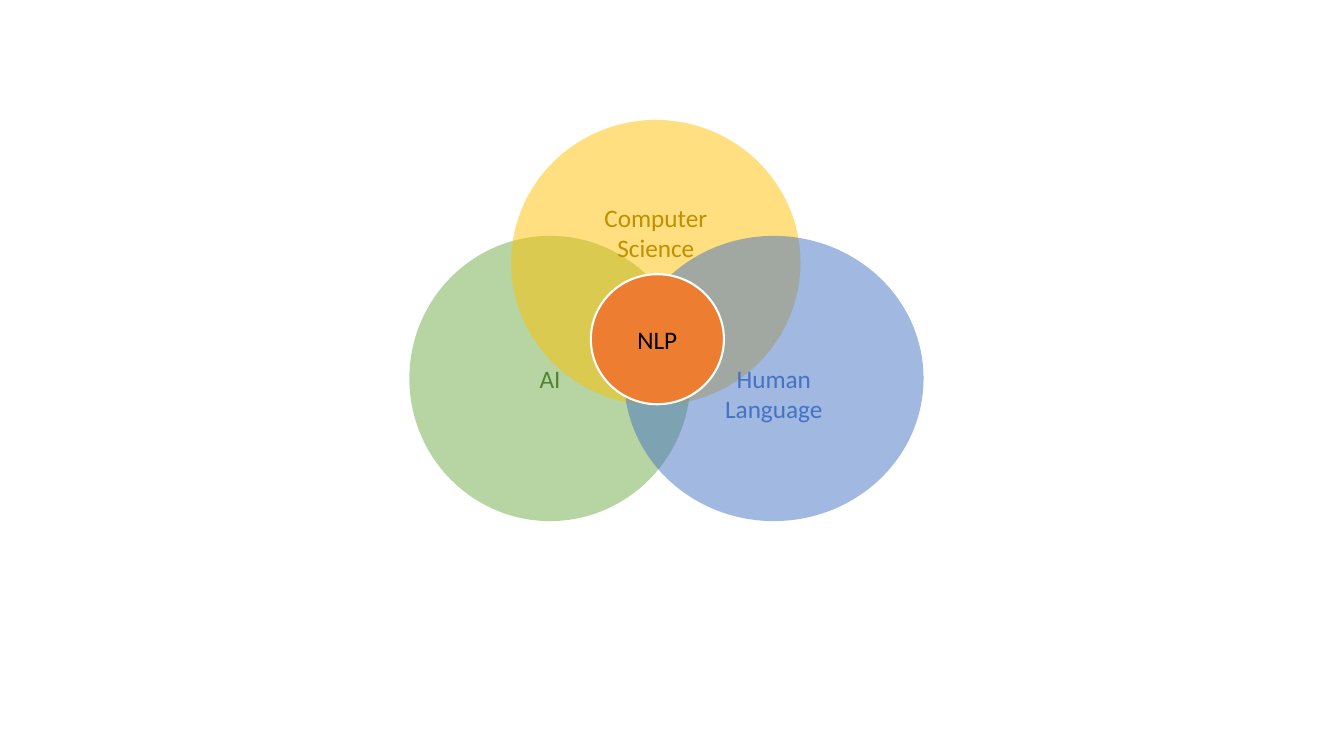
from lxml.etree import SubElement
from pptx import Presentation
from pptx.dml.color import RGBColor
from pptx.enum.shapes import MSO_SHAPE as Shape
from pptx.enum.text import MSO_ANCHOR as Anchor, PP_ALIGN as Align
from pptx.oxml.ns import qn
from pptx.util import Pt

EMU_PER_PX = 9144  # 100 px to the inch
COLORS = {
    "green": "70AD47",
    "dark green": "548235",
    "yellow": "FFC000",
    "dark yellow": "BF9000",
    "blue": "4472C4",
    "orange": "ED7D31",
    "white": "FFFFFF",
    "black": "000000",
}


def px(length):
    return length * EMU_PER_PX


def color(name):
    return RGBColor.from_string(COLORS[name])


class VennSlide:
    font_name = "Calibri"
    font_size = Pt(18)
    side_inset, edge_inset = 12, 5

    def __init__(self, presentation):
        self.slide = presentation.slides.add_slide(presentation.slide_layouts[6])

    def ellipse(self, box, fill, opacity=100, outline=None):
        shape = self.slide.shapes.add_shape(Shape.OVAL, *map(px, box))
        shape.shadow.inherit = False
        shape.fill.solid()
        shape.fill.fore_color.rgb = color(fill)
        if opacity < 100:
            fill_color = shape.fill._xPr.find(qn("a:solidFill"))[0]
            SubElement(fill_color, qn("a:alpha")).set("val", str(opacity * 1000))
        if outline:
            shape.line.color.rgb = color(outline)
            shape.line.width = Pt(1.5)
        else:
            shape.line.fill.background()
        return shape

    def label(self, shape, text, text_color, space_above=0, space_below=0):
        frame = shape.text_frame
        frame.word_wrap = True
        frame.vertical_anchor = Anchor.MIDDLE
        frame.margin_left = frame.margin_right = px(self.side_inset)
        frame.margin_top = px(self.edge_inset + space_above)
        frame.margin_bottom = px(self.edge_inset + space_below)
        frame.text = text
        for paragraph in frame.paragraphs:
            paragraph.alignment = Align.CENTER
            for run in paragraph.runs:
                run.font.name = self.font_name
                run.font.size = self.font_size
                run.font.color.rgb = color(text_color)


def main():
    presentation = Presentation()
    presentation.slide_width, presentation.slide_height = px(1333), px(750)
    venn = VennSlide(presentation)

    # Overlapping fields, from back to front
    fields = [
        ((406, 234, 279, 283), "green", "AI", "dark green", 0, 0),
        ((507, 119, 287, 283), "yellow", "Computer Science", "dark yellow", 0, 60),
        ((619, 234, 297, 283), "blue", "Human\nLanguage", "blue", 30, 0),
    ]
    for box, fill, text, text_color, above, below in fields:
        circle = venn.ellipse(box, fill, opacity=50)
        venn.label(circle, text, text_color, above, below)

    # Shared centre
    centre = venn.ellipse((586, 272, 132, 129), "orange", outline="white")
    venn.label(centre, "NLP", "black")

    presentation.save("out.pptx")


if __name__ == "__main__":
    main()
